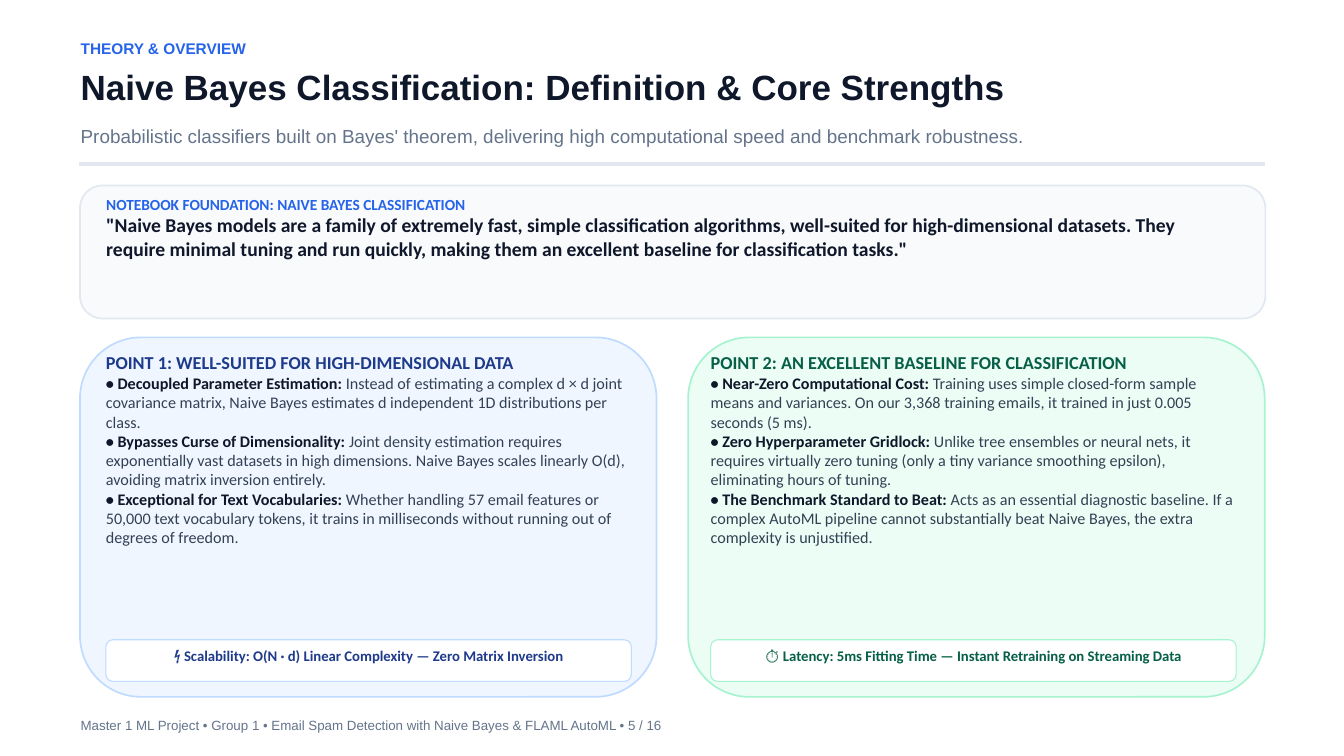
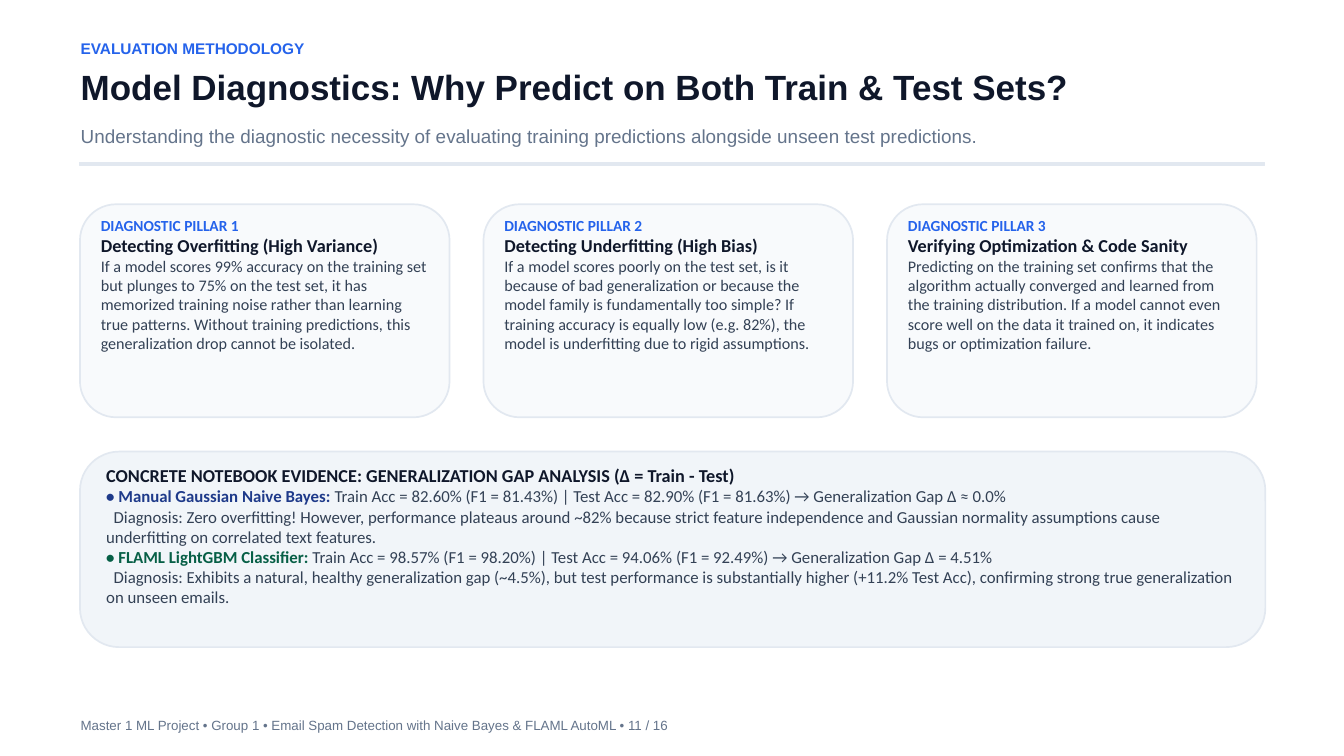
"""Build two lecture slides on Naive Bayes theory and model checks."""
from dataclasses import dataclass
from typing import NamedTuple

import pptx
import pptx.dml.color
import pptx.enum.shapes
import pptx.enum.text
import pptx.slide
import pptx.util

WIDTH, HEIGHT = pptx.util.Inches(20), pptx.util.Inches(11.25)
COLS, ROWS = 200, 112.5
LEFT, SPAN = 11.9, 176.4
LEAD = 1.2
HUES = {
    "white": "FFFFFF", "ink": "0F172A", "body": "334155", "muted": "64748B",
    "accent": "2563EB", "rule": "E2E8F0", "pale": "F8FAFC", "mist": "F1F5F9",
    "navy": "1E3A8A", "sky": "EFF6FF", "skyline": "BFDBFE",
    "forest": "065F46", "mint": "ECFDF5", "mintline": "A7F3D0",
}
FRAME = {
    "margin_left": 0, "margin_top": 0, "margin_right": 0, "margin_bottom": 0,
    "word_wrap": True,
    "auto_size": pptx.enum.text.MSO_AUTO_SIZE.SHAPE_TO_FIT_TEXT,
    "vertical_anchor": pptx.enum.text.MSO_ANCHOR.TOP,
}
START = pptx.enum.text.PP_ALIGN.LEFT
MIDDLE = pptx.enum.text.PP_ALIGN.CENTER
FOOTER = "Master 1 ML Project • Group 1 • Email Spam Detection with Naive Bayes & FLAML AutoML • {} / 16"


class Area(NamedTuple):
    """A place on the grid, in columns and rows."""
    col: float
    row: float
    wide: float
    high: float


class Bit(NamedTuple):
    """A run of text in one colour and weight."""
    text: str
    hue: str = "body"
    bold: bool = False


class Line(NamedTuple):
    """A paragraph of one size."""
    size: float
    bits: list[Bit]
    font: str = "Calibri"
    align: pptx.enum.text.PP_ALIGN = START
    indent: float = 0


@dataclass
class Panel:
    """A filled box with an outline."""
    area: Area
    fill: str
    edge: str
    weight: float = 1.8
    curve: float = 0.17


@dataclass
class Point:
    """A tinted card with facts and a badge."""
    title: str
    facts: list[tuple[str, str]]
    badge: str
    hue: str
    fill: str
    edge: str


class Pillar(NamedTuple):
    """One reason for checking both sets."""
    title: str
    body: str


class Proof(NamedTuple):
    """The scores of a model and what they mean."""
    name: str
    hue: str
    scores: str
    verdict: str


POINTS = [
    Point(
        "POINT 1: WELL-SUITED FOR HIGH-DIMENSIONAL DATA",
        [("Decoupled Parameter Estimation",
          "Instead of estimating a complex d × d joint covariance matrix, Naive Bayes "
          "estimates d independent 1D distributions per class."),
         ("Bypasses Curse of Dimensionality",
          "Joint density estimation requires exponentially vast datasets in high dimensions. "
          "Naive Bayes scales linearly O(d), avoiding matrix inversion entirely."),
         ("Exceptional for Text Vocabularies",
          "Whether handling 57 email features or 50,000 text vocabulary tokens, it trains in "
          "milliseconds without running out of degrees of freedom.")],
        "⚡ Scalability: O(N · d) Linear Complexity — Zero Matrix Inversion",
        "navy", "sky", "skyline"),
    Point(
        "POINT 2: AN EXCELLENT BASELINE FOR CLASSIFICATION",
        [("Near-Zero Computational Cost",
          "Training uses simple closed-form sample means and variances. On our 3,368 training "
          "emails, it trained in just 0.005 seconds (5 ms)."),
         ("Zero Hyperparameter Gridlock",
          "Unlike tree ensembles or neural nets, it requires virtually zero tuning (only a tiny "
          "variance smoothing epsilon), eliminating hours of tuning."),
         ("The Benchmark Standard to Beat",
          "Acts as an essential diagnostic baseline. If a complex AutoML pipeline cannot "
          "substantially beat Naive Bayes, the extra complexity is unjustified.")],
        "⏱ Latency: 5ms Fitting Time — Instant Retraining on Streaming Data",
        "forest", "mint", "mintline"),
]
PILLARS = [
    Pillar("Detecting Overfitting (High Variance)",
           "If a model scores 99% accuracy on the training set but plunges to 75% on the test set, "
           "it has memorized training noise rather than learning true patterns. Without training "
           "predictions, this generalization drop cannot be isolated."),
    Pillar("Detecting Underfitting (High Bias)",
           "If a model scores poorly on the test set, is it because of bad generalization or because "
           "the model family is fundamentally too simple? If training accuracy is equally low "
           "(e.g. 82%), the model is underfitting due to rigid assumptions."),
    Pillar("Verifying Optimization & Code Sanity",
           "Predicting on the training set confirms that the algorithm actually converged and learned "
           "from the training distribution. If a model cannot even score well on the data it trained "
           "on, it indicates bugs or optimization failure."),
]
PROOFS = [
    Proof("Manual Gaussian Naive Bayes", "navy",
          "Train Acc = 82.60% (F1 = 81.43%) | Test Acc = 82.90% (F1 = 81.63%) → Generalization Gap Δ ≈ 0.0%",
          "Diagnosis: Zero overfitting! However, performance plateaus around ~82% because strict feature "
          "independence and Gaussian normality assumptions cause underfitting on correlated text features."),
    Proof("FLAML LightGBM Classifier", "forest",
          "Train Acc = 98.57% (F1 = 98.20%) | Test Acc = 94.06% (F1 = 92.49%) → Generalization Gap Δ = 4.51%",
          "Diagnosis: Exhibits a natural, healthy generalization gap (~4.5%), but test performance is "
          "substantially higher (+11.2% Test Acc), confirming strong true generalization on unseen emails."),
]


def tint(name: str) -> pptx.dml.color.RGBColor:
    """Look up a colour."""
    return pptx.dml.color.RGBColor.from_string(HUES[name])


def place(area: Area) -> list[int]:
    """Turn grid units into slide lengths."""
    return [round(unit * size / cells) for unit, size, cells in
            zip(area, (WIDTH, HEIGHT) * 2, (COLS, ROWS) * 2)]


def put(target: object, values: dict) -> None:
    """Set each attribute named in the values."""
    for key, value in values.items():
        setattr(target, key, value)


def draw(slide: pptx.slide.Slide, panel: Panel) -> None:
    """Draw a panel, with round corners if it has a curve."""
    kinds = pptx.enum.shapes.MSO_SHAPE
    kind = kinds.ROUNDED_RECTANGLE if panel.curve else kinds.RECTANGLE
    shape = slide.shapes.add_shape(kind, *place(panel.area))
    shape.shadow.inherit = False
    if panel.curve:
        shape.adjustments[0] = panel.curve
    shape.fill.solid()
    shape.fill.fore_color.rgb = tint(panel.fill)
    shape.line.color.rgb = tint(panel.edge)
    shape.line.width = pptx.util.Pt(panel.weight)


def write(slide: pptx.slide.Slide, area: Area, lines: list[Line]) -> None:
    """Write lines of text in an area."""
    frame = slide.shapes.add_textbox(*place(area)).text_frame
    put(frame, FRAME)
    for index, line in enumerate(lines):
        para = frame.add_paragraph() if index else frame.paragraphs[0]
        put(para, {"alignment": line.align, "line_spacing": pptx.util.Pt(line.size * LEAD)})
        if line.indent:
            para._p.get_or_add_pPr().set("indent", str(pptx.util.Pt(line.indent)))
        for bit in line.bits:
            run = para.add_run()
            run.text = bit.text
            put(run.font, {"name": line.font, "size": pptx.util.Pt(line.size), "bold": bit.bold})
            run.font.color.rgb = tint(bit.hue)


def begin(deck: pptx.presentation.Presentation, number: int, topic: str,
          title: str, summary: str) -> pptx.slide.Slide:
    """Add a slide with its heading, rule and footer."""
    slide = deck.slides.add_slide(deck.slide_layouts[6])
    slide.background.fill.solid()
    slide.background.fill.fore_color.rgb = tint("white")
    heads = [
        (5.8, 4.4, 16.5, Bit(topic, "accent", True)),
        (9.8, 8.7, 37.5, Bit(title, "ink", True)),
        (18.5, 5.4, 20.25, Bit(summary, "muted")),
        (106.7, 2.5, 14.25, Bit(FOOTER.format(number), "muted")),
    ]
    for row, high, size, bit in heads:
        write(slide, Area(12, row, 176.1, high), [Line(size, [bit], "Arial")])
    draw(slide, Panel(Area(LEFT, 24.2, 176.3, 0.4), "rule", "rule", 1.13, 0))
    return slide


def theory(deck: pptx.presentation.Presentation) -> None:
    """Build the slide on core strengths."""
    slide = begin(deck, 5, "THEORY & OVERVIEW",
                  "Naive Bayes Classification: Definition & Core Strengths",
                  "Probabilistic classifiers built on Bayes' theorem, delivering high "
                  "computational speed and benchmark robustness.")
    draw(slide, Panel(Area(LEFT, 27.6, SPAN, 19.8), "pale", "rule"))
    write(slide, Area(15.8, 29, 168.1, 16.8), [
        Line(16.5, [Bit("NOTEBOOK FOUNDATION: NAIVE BAYES CLASSIFICATION", "accent", True)]),
        Line(21, [Bit('"Naive Bayes models are a family of extremely fast, simple classification '
                      'algorithms, well-suited for high-dimensional datasets. They require minimal '
                      'tuning and run quickly, making them an excellent baseline for '
                      'classification tasks."', "ink", True)]),
    ])
    for index, point in enumerate(POINTS):
        inner = 15.75 + index * 90
        draw(slide, Panel(Area(LEFT + index * 90.5, 50.2, 85.8, 53.5), point.fill, point.edge))
        facts = [Line(17.25, [Bit(f"• {name}: ", "ink", True), Bit(body)])
                 for name, body in point.facts]
        write(slide, Area(inner, 52.3, 78.1, 41.8),
              [Line(19.5, [Bit(point.title, point.hue, True)]), *facts])
        draw(slide, Panel(Area(inner, 95.2, 78.2, 6.2), "white", point.edge, 1.13))
        write(slide, Area(inner + 1.55, 96.2, 75.1, 4.4),
              [Line(15.75, [Bit(point.badge, point.hue, True)], align=MIDDLE)])


def checks(deck: pptx.presentation.Presentation) -> None:
    """Build the slide on train and test checks."""
    slide = begin(deck, 11, "EVALUATION METHODOLOGY",
                  "Model Diagnostics: Why Predict on Both Train & Test Sets?",
                  "Understanding the diagnostic necessity of evaluating training predictions "
                  "alongside unseen test predictions.")
    for index, pillar in enumerate(PILLARS):
        col = LEFT + index * 60.05
        draw(slide, Panel(Area(col, 30.4, 55, 31.7), "pale", "rule"))
        write(slide, Area(col + 3.1, 32.1, 48.8, 28.1), [
            Line(16.5, [Bit(f"DIAGNOSTIC PILLAR {index + 1}", "accent", True)]),
            Line(19.5, [Bit(pillar.title, "ink", True)]),
            Line(17.25, [Bit(pillar.body)]),
        ])
    draw(slide, Panel(Area(LEFT, 67.2, SPAN, 29.1), "mist", "rule", curve=0.2))
    lines = [Line(19.5, [Bit("CONCRETE NOTEBOOK EVIDENCE: GENERALIZATION GAP ANALYSIS "
                             "(Δ = Train - Test)", "ink", True)])]
    for proof in PROOFS:
        lines += [Line(18, [Bit(f"• {proof.name}: ", proof.hue, True), Bit(proof.scores)]),
                  Line(18, [Bit(proof.verdict)], indent=8)]
    write(slide, Area(15.8, 69.1, 168.1, 37.3), lines)


def main() -> None:
    """Build and save the deck."""
    deck = pptx.Presentation()
    put(deck, {"slide_width": WIDTH, "slide_height": HEIGHT})
    theory(deck)
    checks(deck)
    deck.save("out.pptx")


if __name__ == "__main__":
    main()
